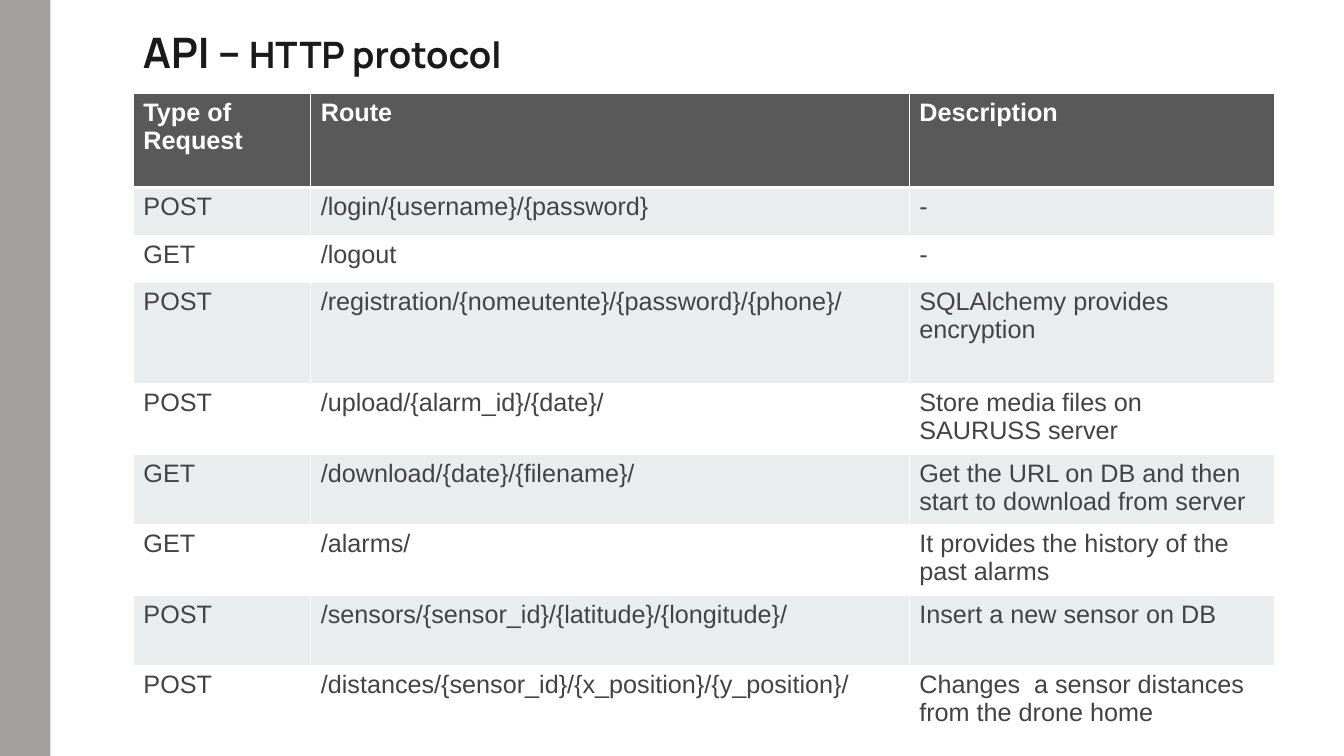
from dataclasses import dataclass

from lxml.etree import SubElement
from pptx import Presentation
from pptx.dml.color import RGBColor
from pptx.enum.shapes import MSO_SHAPE
from pptx.enum.text import MSO_ANCHOR, PP_ALIGN
from pptx.oxml.ns import qn
from pptx.util import Pt


@dataclass(frozen=True)
class Theme:
    sidebar: str = "A5A1A1"
    title: str = "1A1A1A"
    header: str = "595959"
    body: str = "434343"
    band: str = "E9EDEE"
    white: str = "FFFFFF"
    title_font: str = "Manrope"
    table_font: str = "Arial"
    title_size: int = 30
    subtitle_size: int = 26
    table_size: int = 18


class SlideBuilder:
    def __init__(self, slide, theme):
        self.slide = slide
        self.theme = theme

    def fill(self, target, color):
        target.fill.solid()
        target.fill.fore_color.rgb = RGBColor.from_string(color)

    def add_run(self, paragraph, text, color, **formats):
        run = paragraph.add_run()
        run.text = text
        for name, value in formats.items():
            setattr(run.font, name, value)
        run.font.color.rgb = RGBColor.from_string(color)

    def bar(self, left, top, width, height, color):
        shape = self.slide.shapes.add_shape(
            MSO_SHAPE.RECTANGLE, Pt(left), Pt(top), Pt(width), Pt(height))
        shape.shadow.inherit = False
        self.fill(shape, color)
        shape.line.fill.background()

    def title(self, left, top, width, height, parts):
        """Write one bold line from (text, size) parts, resting on the box bottom."""
        box = self.slide.shapes.add_textbox(Pt(left), Pt(top), Pt(width), Pt(height))
        frame_formats = {
            "word_wrap": True,
            "vertical_anchor": MSO_ANCHOR.BOTTOM,
            "margin_left": Pt(7.2),
            "margin_right": Pt(7.2),
            "margin_top": Pt(2.2),
            "margin_bottom": Pt(3.6),
        }
        for name, value in frame_formats.items():
            setattr(box.text_frame, name, value)
        paragraph = box.text_frame.paragraphs[0]
        paragraph.alignment = PP_ALIGN.LEFT
        paragraph.line_spacing = 0.9
        for text, size in parts:
            self.add_run(paragraph, text, self.theme.title, size=Pt(size),
                         name=self.theme.title_font, bold=True)

    def borders(self, cell, widths):
        """Draw white borders; widths maps an edge tag to points."""
        properties = cell._tc.get_or_add_tcPr()
        for position, (edge, width) in enumerate(widths.items()):
            line = SubElement(properties, qn(f"a:{edge}"), w=str(Pt(width)))
            properties.insert(position, line)
            solid = SubElement(line, qn("a:solidFill"))
            SubElement(solid, qn("a:srgbClr"), val=self.theme.white)

    def table(self, left, top, column_widths, row_heights, rows):
        theme = self.theme
        table = self.slide.shapes.add_table(
            len(rows), len(column_widths), Pt(left), Pt(top),
            Pt(sum(column_widths)), Pt(sum(row_heights))).table
        for column, width in zip(table.columns, column_widths):
            column.width = Pt(width)
        for row, height in zip(table.rows, row_heights):
            row.height = Pt(height)
        for row_index, texts in enumerate(rows):
            is_header = row_index == 0
            background = theme.band if row_index % 2 else theme.white
            top_width = 3 if row_index == 1 else 1
            bottom_width = 3 if is_header else 1
            for column_index, text in enumerate(texts):
                cell = table.cell(row_index, column_index)
                self.fill(cell, theme.header if is_header else background)
                self.borders(cell, {"lnL": 1, "lnR": 1,
                                    "lnT": top_width, "lnB": bottom_width})
                self.add_run(cell.text_frame.paragraphs[0], text,
                             theme.white if is_header else theme.body,
                             size=Pt(theme.table_size), name=theme.table_font,
                             bold=is_header)


ROUTES = [
    ("Type of Request", "Route", "Description"),
    ("POST", "/login/{username}/{password}", "-"),
    ("GET", "/logout", "-"),
    ("POST", "/registration/{nomeutente}/{password}/{phone}/",
     "SQLAlchemy provides encryption"),
    ("POST", "/upload/{alarm_id}/{date}/", "Store media files on SAURUSS server"),
    ("GET", "/download/{date}/{filename}/",
     "Get the URL on DB and then start to download from server"),
    ("GET", "/alarms/", "It provides the history of the past alarms"),
    ("POST", "/sensors/{sensor_id}/{latitude}/{longitude}/",
     "Insert a new sensor on DB"),
    ("POST", "/distances/{sensor_id}/{x_position}/{y_position}/",
     "Changes  a sensor distances from the drone home"),
]


def main():
    presentation = Presentation()
    presentation.slide_width = Pt(960)
    presentation.slide_height = Pt(540)
    theme = Theme()
    slide = presentation.slides.add_slide(presentation.slide_layouts[6])
    builder = SlideBuilder(slide, theme)
    builder.bar(0, 0, 36, 540, theme.sidebar)
    builder.title(95, -12, 677, 71, [("API – ", theme.title_size),
                                     ("HTTP protocol", theme.subtitle_size)])
    builder.table(95.3, 67, [126.7, 427.5, 261.2],
                  [67, 34, 34, 72, 48, 48, 48, 50, 50], ROUTES)
    presentation.save("out.pptx")


if __name__ == "__main__":
    main()
